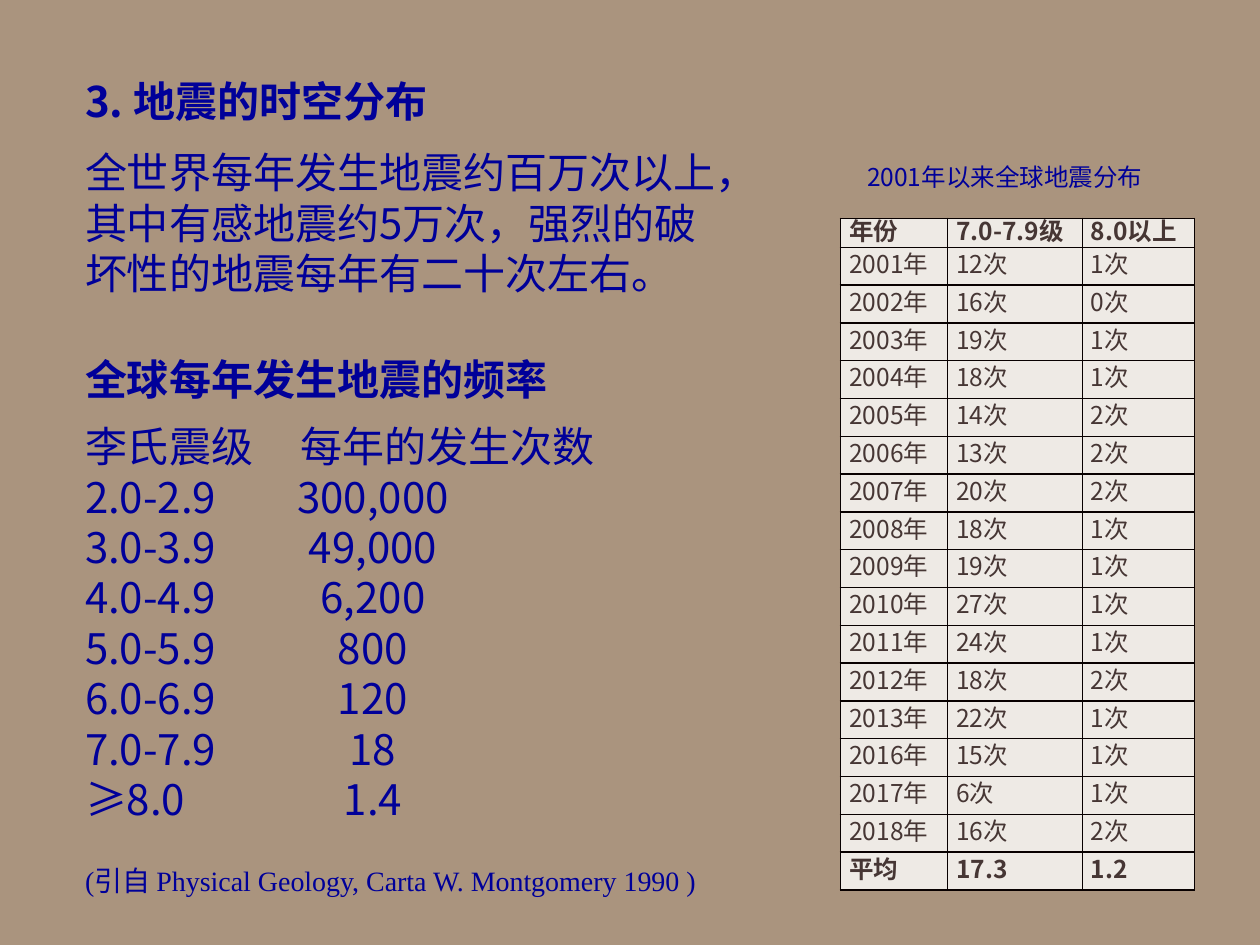
from lxml.etree import SubElement
from pptx import Presentation
from pptx.dml.color import RGBColor
from pptx.enum.text import MSO_ANCHOR, PP_ALIGN
from pptx.oxml.ns import qn
from pptx.util import Pt

# Content
TITLE = "3. 地震的时空分布"
SUMMARY = "全世界每年发生地震约百万次以上，其中有感地震约5万次，强烈的破坏性的地震每年有二十次左右。"
FREQUENCY_TITLE = "全球每年发生地震的频率"
FREQUENCY_HEADER = ("李氏震级", "每年的发生次数")
FREQUENCIES = [
    ("2.0-2.9", "300,000"), ("3.0-3.9", "49,000"), ("4.0-4.9", "6,200"),
    ("5.0-5.9", "800"), ("6.0-6.9", "120"), ("7.0-7.9", "18"), ("≥8.0", "1.4"),
]
CITATION = "(引自 Physical Geology, Carta W. Montgomery 1990 )"
CAPTION = "2001年以来全球地震分布"
YEAR_HEADER = ("年份", "7.0-7.9级", "8.0以上")
YEARS = [
    (2001, 12, 1), (2002, 16, 0), (2003, 19, 1), (2004, 18, 1),
    (2005, 14, 2), (2006, 13, 2), (2007, 20, 2), (2008, 18, 1),
    (2009, 19, 1), (2010, 27, 1), (2011, 24, 1), (2012, 18, 2),
    (2013, 22, 1), (2016, 15, 1), (2017, 6, 1), (2018, 16, 2),
]
AVERAGE = ("平均", "17.3", "1.2")

THEME = {
    "background": "AA947E", "text": "000099", "cell": "EEEAE5",
    "cell_text": "463634", "border": "080000",
    "cjk": "Noto Sans CJK SC", "latin": "Times New Roman",
    "body": 24, "citation": 16, "small": 14,
}

# Layout, in points
LEFT, TEXT_WIDTH = 41.5, 386
BODY_LINE, CITATION_LINE, SMALL_LINE = 28.8, 20, 16.5
TITLE_TOP, TITLE_GAP = 39.5, 12
FREQUENCY_TOP = 198.5
HEADER_TAB, VALUE_TAB = 123, 164.5
TABLE_LEFT, TABLE_TOP = 480.25, 124.75
COLUMN_WIDTHS = (61.2, 77, 64.1)
HEADER_ROW, DATA_ROW = 16.56, 21.6


def write(frame, text, *, size=THEME["body"], line=BODY_LINE, bold=False,
          color=THEME["text"], font=THEME["cjk"], align=PP_ALIGN.LEFT,
          before=0, after=0, tab=None):
    """Fill the frame's first paragraph, or add one when it has text already."""
    paragraph = frame.add_paragraph() if frame.text else frame.paragraphs[0]
    paragraph.alignment = align
    paragraph.line_spacing = Pt(line)
    paragraph.space_before, paragraph.space_after = Pt(before), Pt(after)
    if tab:
        position, kind = tab
        stops = SubElement(paragraph._p.get_or_add_pPr(), qn("a:tabLst"))
        SubElement(stops, qn("a:tab"), pos=str(Pt(position)), algn=kind)
    run = paragraph.add_run()
    run.text = text
    run.font.size, run.font.bold, run.font.name = Pt(size), bold, font
    run.font.color.rgb = RGBColor.from_string(color)
    SubElement(run._r.get_or_add_rPr(), qn("a:ea"), typeface=THEME["cjk"])


def add_text_frame(slide, left, top, width, height):
    frame = slide.shapes.add_textbox(Pt(left), Pt(top), Pt(width), Pt(height)).text_frame
    frame.word_wrap = True
    return frame


def add_borders(cell):
    properties = cell._tc.get_or_add_tcPr()
    for index, side in enumerate(("lnL", "lnR", "lnT", "lnB")):
        border = properties.makeelement(qn(f"a:{side}"), {"w": str(Pt(1))})
        properties.insert(index, border)
        fill = SubElement(border, qn("a:solidFill"))
        SubElement(fill, qn("a:srgbClr"), val=THEME["border"])


def add_year_table(slide):
    rows = [YEAR_HEADER]
    rows += [(f"{year}年", f"{strong}次", f"{great}次") for year, strong, great in YEARS]
    rows.append(AVERAGE)
    heights = [HEADER_ROW] + [DATA_ROW] * (len(rows) - 1)
    table = slide.shapes.add_table(
        len(rows), len(YEAR_HEADER), Pt(TABLE_LEFT), Pt(TABLE_TOP),
        Pt(sum(COLUMN_WIDTHS)), Pt(sum(heights))).table
    table.first_row = table.horz_banding = False
    for column, width in zip(table.columns, COLUMN_WIDTHS):
        column.width = Pt(width)
    for r, (values, height) in enumerate(zip(rows, heights)):
        table.rows[r].height = Pt(height)
        for c, value in enumerate(values):
            cell = table.cell(r, c)
            cell.margin_left = cell.margin_right = Pt(5)
            cell.margin_top = cell.margin_bottom = 0
            cell.vertical_anchor = MSO_ANCHOR.MIDDLE
            cell.fill.solid()
            cell.fill.fore_color.rgb = RGBColor.from_string(THEME["cell"])
            add_borders(cell)
            write(cell.text_frame, value, size=THEME["small"], line=SMALL_LINE,
                  color=THEME["cell_text"], bold=values in (YEAR_HEADER, AVERAGE))


def main():
    deck = Presentation()
    deck.slide_width, deck.slide_height = Pt(720), Pt(540)
    slide = deck.slides.add_slide(deck.slide_layouts[5])
    slide.background.fill.solid()
    slide.background.fill.fore_color.rgb = RGBColor.from_string(THEME["background"])

    # Title and summary
    title = slide.shapes.title
    title.left, title.top = Pt(LEFT), Pt(TITLE_TOP)
    title.width, title.height = Pt(TEXT_WIDTH), Pt(BODY_LINE + 7.2)
    title.text_frame.vertical_anchor = MSO_ANCHOR.TOP
    write(title.text_frame, TITLE, bold=True)
    summary = add_text_frame(slide, LEFT, TITLE_TOP + BODY_LINE + TITLE_GAP,
                             TEXT_WIDTH, 3 * BODY_LINE + 7.2)
    write(summary, SUMMARY)

    # Yearly frequency by magnitude
    frequency = add_text_frame(slide, LEFT, FREQUENCY_TOP, TEXT_WIDTH + 6, 319)
    write(frequency, FREQUENCY_TITLE, bold=True, after=9.6)
    write(frequency, "\t".join(FREQUENCY_HEADER), tab=(HEADER_TAB, "l"))
    for row in FREQUENCIES:
        write(frequency, "\t".join(row), tab=(VALUE_TAB, "ctr"))
    write(frequency, CITATION, size=THEME["citation"], line=CITATION_LINE,
          font=THEME["latin"], before=21.6)

    # Strong earthquakes by year
    add_year_table(slide)
    caption = add_text_frame(slide, TABLE_LEFT, 89.5, 188, 24.5)
    write(caption, CAPTION, size=THEME["small"], line=SMALL_LINE, align=PP_ALIGN.CENTER)

    deck.save("out.pptx")


if __name__ == "__main__":
    main()
